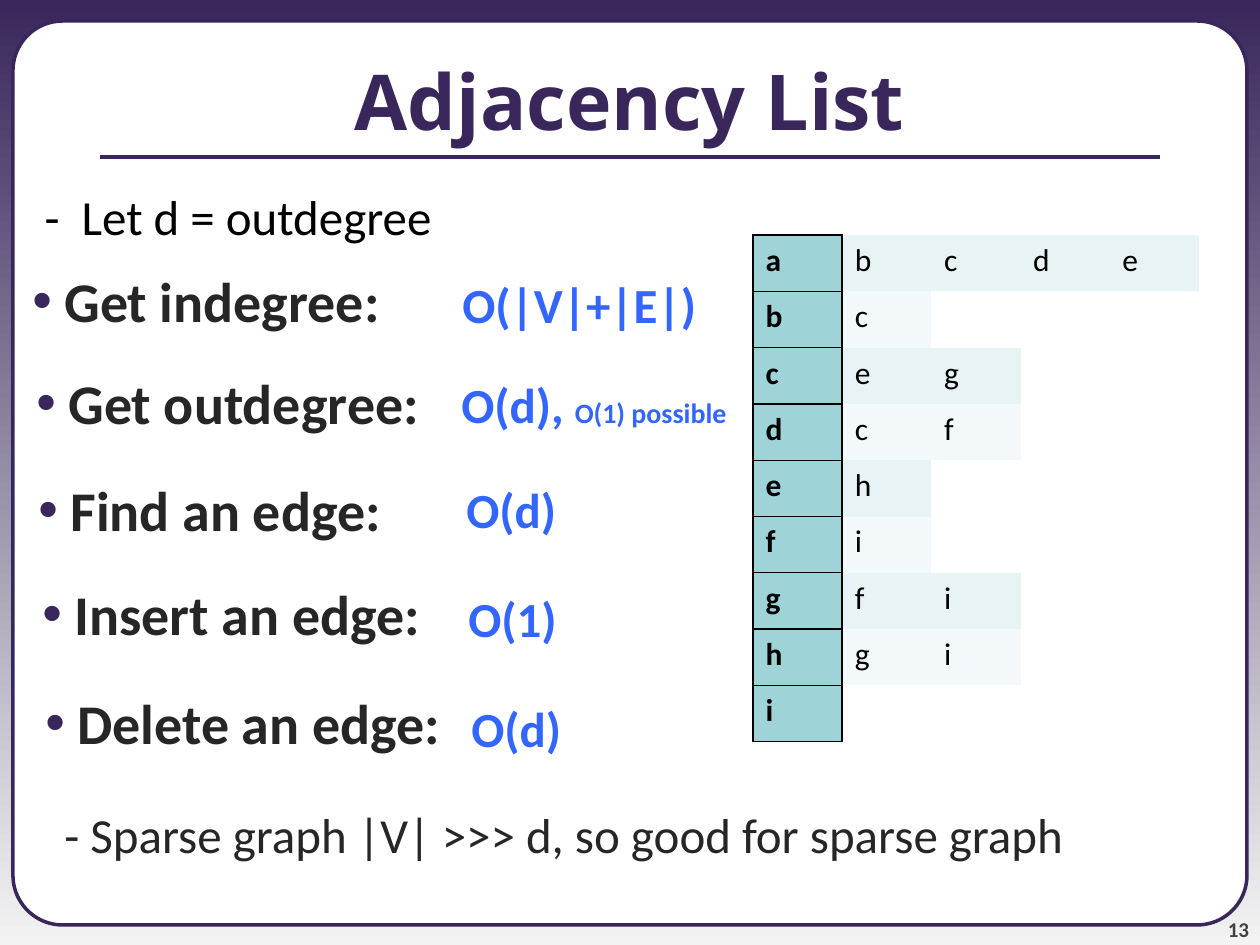
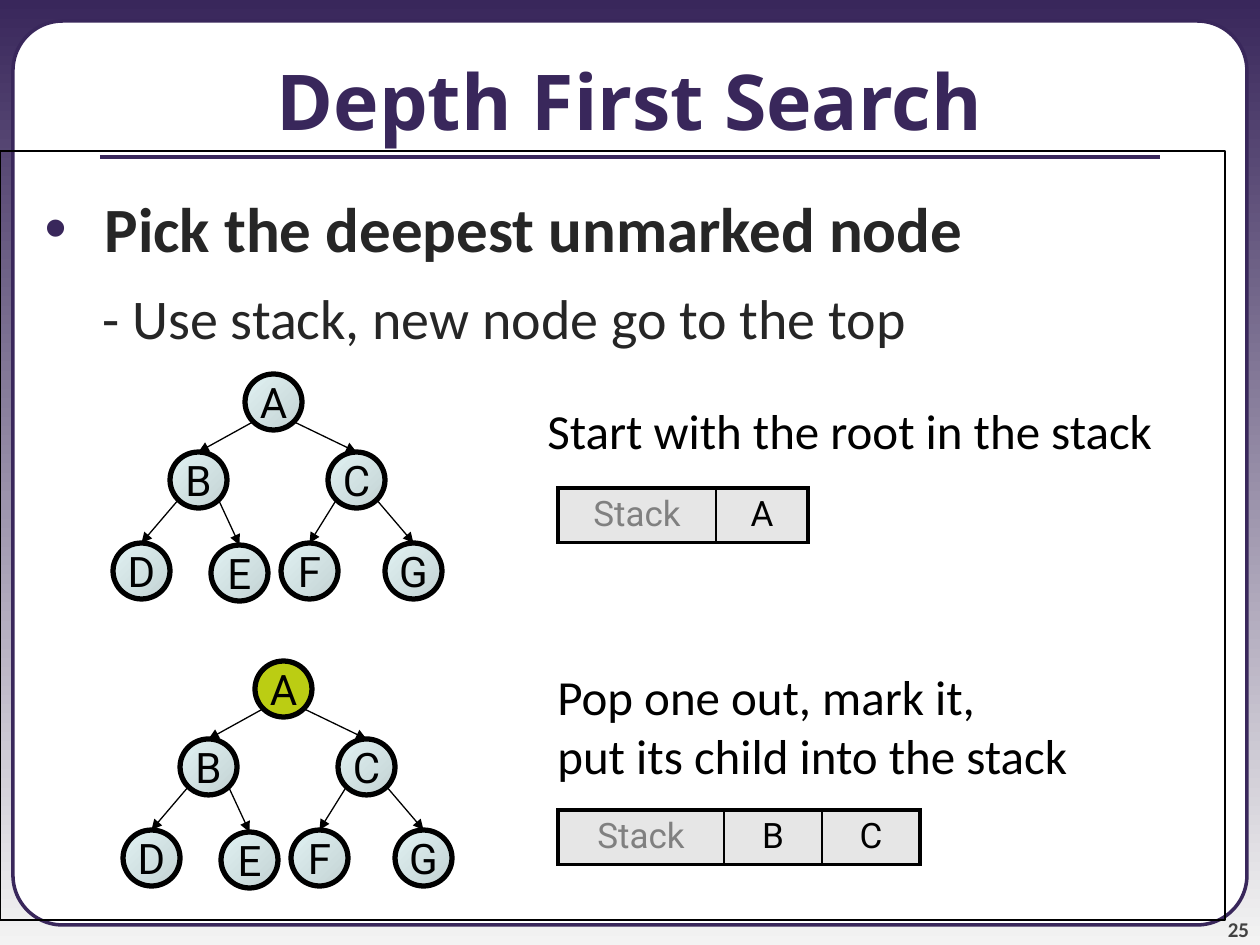
from lxml.etree import SubElement
from pptx import Presentation
from pptx.dml.color import RGBColor
from pptx.enum.shapes import MSO_CONNECTOR, MSO_SHAPE
from pptx.enum.text import MSO_ANCHOR, MSO_AUTO_SIZE, PP_ALIGN
from pptx.oxml.ns import qn
from pptx.util import Pt

EMU_PER_PX = 914400 / 126
PLAIN_TABLE_STYLE = "{2D5ABB26-0587-4C30-8999-92F81FD0307C}"

PURPLE = "39275B"
PALE_GREY = "F3F3F3"
WHITE = "FFFFFF"
BLACK = "000000"
DARK = "262626"
BLUE = "3366FF"
TEAL = "9ED3D7"
ROW_TINTS = ["E7F3F4", "F3F9FA"]
NODE_GRADIENT = ["E1F2F3", "C3D2D3"]
MARKED = "BBCD13"

# operation, its left and top, running time, its left and top
OPERATIONS = [
    ("Get indegree:", 20, 260, "O(|V|+|E|)", 450, 268),
    ("Get outdegree:", 24, 362, "O(d), ", 449, 368),
    ("Find an edge:", 26, 469, "O(d)", 454, 473),
    ("Insert an edge:", 30, 573, "O(1)", 456, 582),
    ("Delete an edge:", 33, 682, "O(d)", 459, 692),
]
NEIGHBOURS = {"a": "bcde", "b": "c", "c": "eg", "d": "cf", "e": "h",
              "f": "i", "g": "fi", "h": "gi", "i": ""}

NODE_WIDTH, NODE_HEIGHT = 57, 56
TREE_NODES = {"A": (245, 374), "B": (170, 452), "C": (328, 452), "D": (113, 543),
              "E": (211, 545), "F": (281, 543), "G": (385, 543)}
TREE_EDGES = ["AB", "AC", "BD", "BE", "CF", "CG"]


def px(length):
    return round(length * EMU_PER_PX)


def px_all(*lengths):
    return [px(length) for length in lengths]


def color(hex_value):
    return RGBColor.from_string(hex_value)


def fill_solid(fill, hex_value):
    fill.solid()
    fill.fore_color.rgb = color(hex_value)


def fill_gradient(fill, hex_values, clockwise_angle):
    fill.gradient()
    fill.gradient_angle = 360 - clockwise_angle
    for stop, hex_value in zip(fill.gradient_stops, hex_values):
        stop.color.rgb = color(hex_value)


def set_line(line, hex_value, width):
    line.color.rgb = color(hex_value)
    line.width = Pt(width)


def format_runs(paragraph, size, hex_value, bold=False, font="Calibri"):
    for span in paragraph.runs:
        span.font.size = Pt(size)
        span.font.name = font
        span.font.bold = bold
        span.font.color.rgb = color(hex_value)


def set_indent(paragraph, margin, hang=0, bullet=False):
    """Set the left margin, the hanging first line and the bullet."""
    properties = paragraph._p.get_or_add_pPr()
    properties.set("marL", str(px(margin)))
    properties.set("indent", str(-px(hang)))
    if bullet:
        bullet_color = SubElement(properties, qn("a:buClr"))
        SubElement(bullet_color, qn("a:srgbClr"), val=PURPLE)
        SubElement(properties, qn("a:buFont"), typeface="Arial")
        SubElement(properties, qn("a:buChar"), char="•")
    else:
        SubElement(properties, qn("a:buNone"))


def add_text(page, area, text, size, hex_value, bold=False):
    box = page.shapes.add_textbox(*px_all(*area))
    box.text_frame.word_wrap = True
    box.text_frame.text = text
    for paragraph in box.text_frame.paragraphs:
        format_runs(paragraph, size, hex_value, bold)
    return box


def add_straight_line(page, start, end, width, hex_value):
    line = page.shapes.add_connector(MSO_CONNECTOR.STRAIGHT, *px_all(*start, *end))
    set_line(line.line, hex_value, width)
    SubElement(line._element.spPr, qn("a:effectLst"))
    return line


def dress_layout(layout, page):
    """Give the layout its background, title place, white panel and title rule."""
    fill_gradient(layout.background.fill, [PURPLE, PALE_GREY], 90)
    title = layout.placeholders[0]
    title.left, title.top, title.width, title.height = px_all(0, 21, 1260, 158)

    panel = page.shapes.add_shape(MSO_SHAPE.ROUNDED_RECTANGLE, *px_all(13, 21, 1234, 904))
    panel.adjustments[0] = 0.055
    panel.shadow.inherit = False
    fill_solid(panel.fill, WHITE)
    set_line(panel.line, PURPLE, 2)
    rule = add_straight_line(page, (100, 157), (1160, 157), 2.25, PURPLE)

    for position, shape in enumerate([panel, rule], start=2):
        layout.shapes._spTree.insert(position, shape._element)


def set_title(page, text):
    frame = page.shapes.title.text_frame
    frame.text = text
    frame.vertical_anchor = MSO_ANCHOR.MIDDLE
    frame.paragraphs[0].alignment = PP_ALIGN.CENTER
    format_runs(frame.paragraphs[0], 44, PURPLE, True, "Open Sans")


def add_page_number(page, number):
    box = add_text(page, (1144, 892, 105, 50), str(number), 12, "424242", True)
    frame = box.text_frame
    frame.margin_left = frame.margin_right = frame.margin_top = frame.margin_bottom = 0
    frame.vertical_anchor = MSO_ANCHOR.BOTTOM
    frame.paragraphs[0].alignment = PP_ALIGN.RIGHT


def place_body(page, area, margin_top, text):
    body = page.placeholders[1]
    body.left, body.top, body.width, body.height = px_all(*area)
    body.text_frame.auto_size = MSO_AUTO_SIZE.NONE
    body.text_frame.margin_top = px(margin_top)
    body.text_frame.text = text
    body.text_frame.paragraphs[0].space_before = Pt(0)
    return body


def add_plain_table(page, rows, columns, area):
    frame = page.shapes.add_table(rows, columns, *px_all(*area))
    table = frame.table
    table.first_row = table.horz_banding = False
    table._tbl.tblPr.find(qn("a:tableStyleId")).text = PLAIN_TABLE_STYLE
    return table


def set_borders(cell, **widths):
    """Draw black borders; L, R, T and B name the sides, in that order."""
    properties = cell._tc.get_or_add_tcPr()
    for side, width in widths.items():
        border = SubElement(properties, qn(f"a:ln{side}"), w=str(Pt(width)))
        fill = SubElement(border, qn("a:solidFill"))
        SubElement(fill, qn("a:srgbClr"), val=BLACK)


def add_adjacency_table(page):
    """List each vertex with its neighbours, under one blank row."""
    table = add_plain_table(page, len(NEIGHBOURS) + 1, 5, (753, 179, 446, 563))
    for cell in table.iter_cells():
        cell.fill.background()
    for row, (vertex, neighbours) in enumerate(NEIGHBOURS.items(), start=1):
        for column, letter in enumerate(vertex + neighbours):
            cell = table.cell(row, column)
            cell.text = letter
            is_vertex = column == 0
            if is_vertex:
                set_borders(cell, L=1, R=1, T=1, B=1)
            fill_solid(cell.fill, TEAL if is_vertex else ROW_TINTS[(row - 1) % 2])
            format_runs(cell.text_frame.paragraphs[0], 18, BLACK, is_vertex)


def add_stack(page, top, label_width, item_width, items):
    width = label_width + item_width * len(items)
    table = add_plain_table(page, 1, len(items) + 1, (558, top, width, 54))
    for column, text in enumerate(["Stack", *items]):
        is_label = column == 0
        table.columns[column].width = px(label_width if is_label else item_width)
        cell = table.cell(0, column)
        cell.text = text
        set_borders(cell, L=2.25 if is_label else 1,
                    R=2.25 if column == len(items) else 1, T=2.25, B=2.25)
        fill_solid(cell.fill, "E6E6E6")
        paragraph = cell.text_frame.paragraphs[0]
        paragraph.alignment = PP_ALIGN.CENTER
        format_runs(paragraph, 20, "808080" if is_label else BLACK, font="Roboto")


def add_node(page, letter, left, top, marked):
    node = page.shapes.add_shape(
        MSO_SHAPE.OVAL, *px_all(left, top, NODE_WIDTH, NODE_HEIGHT))
    node.shadow.inherit = False
    if marked:
        fill_solid(node.fill, MARKED)
    else:
        fill_gradient(node.fill, NODE_GRADIENT, 45)
    set_line(node.line, BLACK, 3)
    frame = node.text_frame
    frame.word_wrap = False
    frame.vertical_anchor = MSO_ANCHOR.MIDDLE
    frame.text = letter
    frame.paragraphs[0].alignment = PP_ALIGN.CENTER
    format_runs(frame.paragraphs[0], 24, BLACK, font="Roboto")
    return node


def add_tree(page, shift_x=0, shift_y=0, marked=""):
    places = {letter: (left + shift_x, top + shift_y)
              for letter, (left, top) in TREE_NODES.items()}
    nodes = {letter: add_node(page, letter, *place, letter in marked)
             for letter, place in places.items()}
    for parent, child in TREE_EDGES:
        left, top = places[parent]
        across = 0.15 if places[child][0] < left else 0.85
        start = (left + across * NODE_WIDTH, top + 0.85 * NODE_HEIGHT)
        arrow = add_straight_line(page, start, places[child], 0.75, BLACK)
        arrow.end_connect(nodes[child], 0)
        SubElement(arrow._element.spPr.find(qn("a:ln")), qn("a:tailEnd"), type="triangle")


def build_adjacency_list(page):
    set_title(page, "Adjacency List")
    add_page_number(page, 13)
    body = place_body(page, (0, 179, 1260, 766), 8, "-\tLet d = outdegree")
    paragraph = body.text_frame.paragraphs[0]
    set_indent(paragraph, 69, 37)
    format_runs(paragraph, 28, BLACK)

    for operation, left, top, cost, cost_left, cost_top in OPERATIONS:
        label = add_text(page, (left, top, 425, 81), operation, 32, DARK, True)
        set_indent(label.text_frame.paragraphs[0], 32, 32, bullet=True)
        answer = add_text(page, (cost_left, cost_top, 300, 72), cost, 28, BLUE, True)
        if operation == "Get outdegree:":
            paragraph = answer.text_frame.paragraphs[0]
            span = paragraph.add_run()
            span.text = "O(1) possible"
            format_runs(paragraph, 28, BLUE, True)
            span.font.size = Pt(16)

    remark = add_text(page, (20, 798, 1240, 72),
                      "- Sparse graph |V| >>> d, so good for sparse graph", 28, DARK)
    set_indent(remark.text_frame.paragraphs[0], 32)
    add_adjacency_table(page)


def build_depth_first_search(page):
    set_title(page, "Depth First Search")
    add_page_number(page, 25)
    body = place_body(page, (0, 151, 1225, 769), 39,
                      "Pick the deepest unmarked node\n- Use stack, new node go to the top")
    set_line(body.line, BLACK, 0.75)
    heading, detail = body.text_frame.paragraphs
    set_indent(heading, 92, 60, bullet=True)
    format_runs(heading, 36, DARK, True)
    detail.space_before = Pt(10)
    set_indent(detail, 90)
    format_runs(detail, 32, DARK)

    add_text(page, (535, 394, 680, 72), "Start with the root in the stack", 28, BLACK)
    add_tree(page)
    add_stack(page, 488, 158, 92, ["A"])

    add_text(page, (545, 660, 680, 131),
             "Pop one out, mark it,\nput its child into the stack", 28, BLACK)
    add_tree(page, 10, 287, marked="A")
    add_stack(page, 810, 166, 98, ["B", "C"])


def main():
    deck = Presentation()
    deck.slide_width, deck.slide_height = px_all(1260, 945)
    layout = deck.slide_layouts[1]
    first = deck.slides.add_slide(layout)
    dress_layout(layout, first)
    build_adjacency_list(first)
    build_depth_first_search(deck.slides.add_slide(layout))
    deck.save("out.pptx")


if __name__ == "__main__":
    main()
